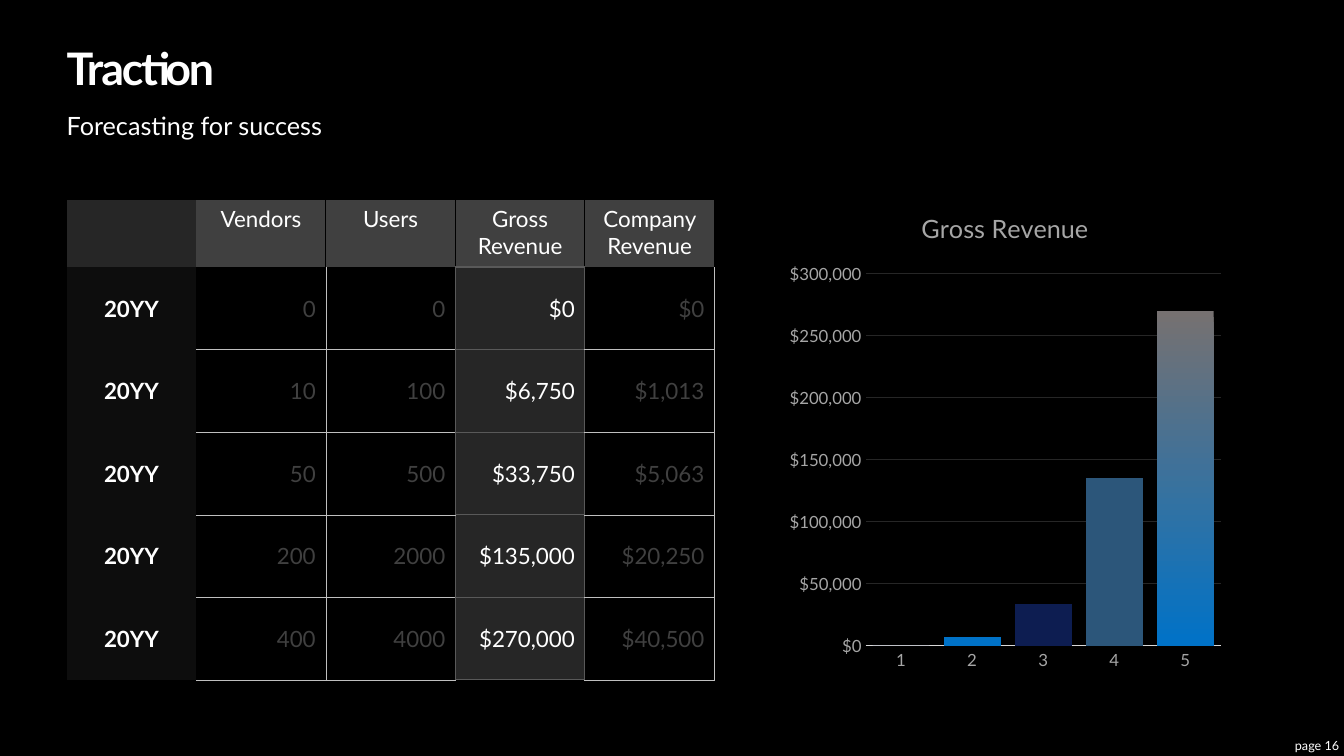
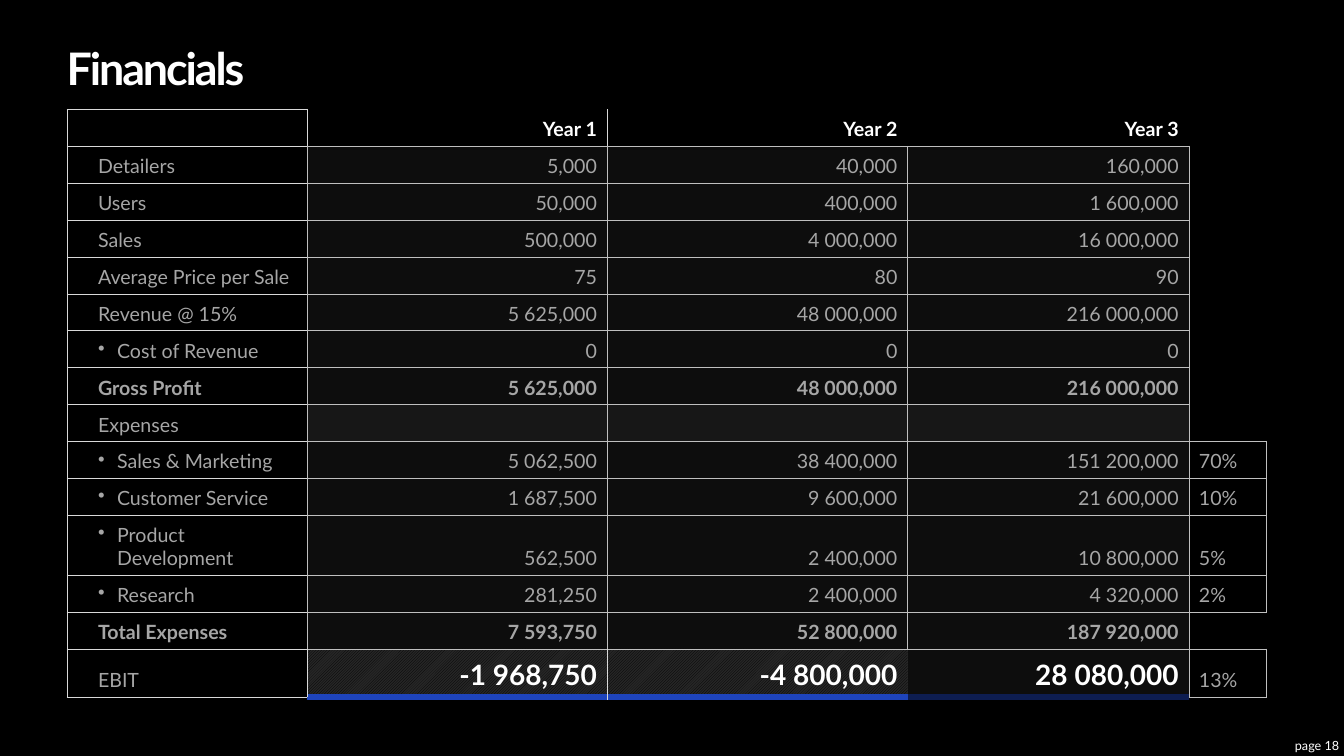
from dataclasses import dataclass
from lxml import etree
from pptx import Presentation
from pptx import util as u
from pptx.chart import data
from pptx.dml import color
from pptx.enum import dml, text
from pptx.oxml import ns


@dataclass(frozen=True)
class Theme:
    font: str = "Lato"
    black: str = "000000"
    white: str = "FFFFFF"
    coal: str = "0D0D0D"
    ash: str = "171717"
    dark: str = "262626"
    slate: str = "404040"
    mid: str = "595959"
    soft: str = "A6A6A6"
    rule: str = "BFBFBF"
    pale: str = "D9D9D9"
    navy: str = "0D1D51"
    royal: str = "1E44BC"
    blue: str = "0072C7"
    steel: str = "2C567A"
    stone: str = "767171"
    title: int = 32
    lead: int = 18
    large: int = 20
    cell: int = 16
    dense: int = 14
    axis: int = 12
    foot: int = 9


T = Theme()
LEFT, RIGHT, MID = text.PP_ALIGN.LEFT, text.PP_ALIGN.RIGHT, text.PP_ALIGN.CENTER
ANCHOR = text.MSO_ANCHOR
HAIR, GRAY = (T.rule, 0.25), (T.mid, 1)
PALE, DARK = (T.pale, 0.25), (T.black, 1)


# Shared helpers
def rgb(tone):
    return color.RGBColor.from_string(tone)


def paint(fill, tone):
    fill.solid()
    fill.fore_color.rgb = rgb(tone)


def ink(font, size, tone, bold=False):
    font.name, font.size, font.bold = T.font, u.Pt(size), bold
    font.color.rgb = rgb(tone)


def label(slide, box, words, size, bold=False, align=LEFT, anchor=ANCHOR.MIDDLE):
    frame = slide.shapes.add_textbox(*map(u.Cm, box)).text_frame
    frame.word_wrap = True
    frame.margin_left = frame.margin_right = frame.margin_top = frame.margin_bottom = 0
    frame.vertical_anchor = anchor
    par = frame.paragraphs[0]
    par.text, par.alignment = words, align
    ink(par.font, size, T.white, bold)
    return par


def page(deck, title, number):
    slide = deck.slides.add_slide(deck.slide_layouts[6])
    paint(slide.background.fill, T.black)
    head = label(slide, (1.68, 1.19, 27.71, 1.19), title, T.title, True)
    head.line_spacing = 0.9
    head.runs[0].font._rPr.set("spc", "-150")
    label(slide, (32.23, 18.57, 1.52, 0.43), f"page {number}", T.foot, align=RIGHT)
    return slide


def grid(slide, left, top, cols, rows):
    frame = slide.shapes.add_table(len(rows), len(cols), u.Cm(left), u.Cm(top),
                                   u.Cm(sum(cols)), u.Cm(sum(rows)))
    table = frame.table
    table.first_row = table.horz_banding = False
    plain = "{2D5ABB26-0587-4C30-8999-92F81FD0307C}"
    table._tbl.tblPr.find(ns.qn("a:tableStyleId")).text = plain
    for col, width in zip(table.columns, cols):
        col.width = u.Cm(width)
    for row, height in zip(table.rows, rows):
        row.height = u.Cm(height)
    return table


def edge(cell, sides):
    """Draw cell borders; sides maps L, R, T, B to (colour, points)."""
    props = cell._tc.get_or_add_tcPr()
    for side in "LRTB":
        if side in sides:
            tone, width = sides[side]
            line = etree.SubElement(props, ns.qn(f"a:ln{side}"), w=str(u.Pt(width)))
            fill = etree.SubElement(line, ns.qn("a:solidFill"))
            etree.SubElement(fill, ns.qn("a:srgbClr"), val=tone)


def write(cell, words, size, tone, bold, align, anchor, bullet=False):
    cell.vertical_anchor = anchor
    par = cell.text_frame.paragraphs[0]
    if words:
        par.text = words
    par.alignment = align
    if bullet:
        props = par._p.get_or_add_pPr()
        props.set("marL", str(u.Cm(0.48)))
        props.set("indent", str(u.Cm(-0.48)))
        etree.SubElement(props, ns.qn("a:buChar"), char="•")
    ink(par.font, size, tone, bold)


# Traction: forecast table
HEADS = ["", "Vendors", "Users", "Gross Revenue", "Company Revenue"]
YEARS = [
    ["20YY", "0", "0", "$0", "$0"],
    ["20YY", "10", "100", "$6,750", "$1,013"],
    ["20YY", "50", "500", "$33,750", "$5,063"],
    ["20YY", "200", "2000", "$135,000", "$20,250"],
    ["20YY", "400", "4000", "$270,000", "$40,500"],
]
GROSS = 3


def forecast(slide, left, top, width, height):
    head = 1.68
    step = (height - head) / len(YEARS)
    table = grid(slide, left, top, [width / len(HEADS)] * len(HEADS),
                 [head] + [step] * len(YEARS))
    flat = {"T": HAIR, "B": HAIR}
    lines = [{}, {**flat, "R": HAIR}, {**flat, "L": HAIR, "R": GRAY},
             dict.fromkeys("LRTB", GRAY), {**flat, "L": GRAY, "R": HAIR}]
    for c, words in enumerate(HEADS):
        cell = table.cell(0, c)
        sides = {"L": DARK} if c > 1 else {}
        if 0 < c < len(HEADS) - 1:
            sides["R"] = DARK
        if c == GROSS:
            sides["B"] = GRAY
        edge(cell, sides)
        paint(cell.fill, T.slate if c else T.dark)
        write(cell, words, T.cell, T.white, False, MID, ANCHOR.TOP)
    for r, year in enumerate(YEARS, 1):
        for c, words in enumerate(year):
            cell = table.cell(r, c)
            sides = dict(lines[c])
            if r == 1 and c != GROSS:
                sides.pop("T", None)
            edge(cell, sides)
            if c in (0, GROSS):
                paint(cell.fill, T.dark if c else T.coal)
            else:
                cell.fill.background()
            write(cell, words, T.cell, T.white if c in (0, GROSS) else T.slate,
                  c == 0, RIGHT if c else MID, ANCHOR.MIDDLE)


# Traction: revenue chart
def revenue(slide, *box):
    source = data.CategoryChartData()
    source.categories = ["1", "2", "3", "4", "5"]
    source.add_series("Series 1", (0, 7000, 34000, 135000, 270000))
    from_kind = slide.shapes.add_chart(51, *map(u.Cm, box), source)
    chart = from_kind.chart
    ink(chart.font, T.axis, T.soft)
    chart.has_legend = False
    chart.has_title = True
    par = chart.chart_title.text_frame.paragraphs[0]
    par.text = "Gross Revenue"
    ink(par.font, T.lead, T.soft)

    # Axes
    cats, vals = chart.category_axis, chart.value_axis
    for axis in (cats, vals):
        axis.major_tick_mark = axis.minor_tick_mark = -4142
        ink(axis.tick_labels.font, T.axis, T.soft)
    paint(cats.format.line.fill, T.pale)
    cats.format.line.width = u.Pt(0.75)
    vals.format.line.fill.background()
    vals.minimum_scale, vals.maximum_scale, vals.major_unit = 0, 300000, 50000
    vals.tick_labels.number_format = "[$$-409]#,##0"
    vals.tick_labels.number_format_is_linked = False
    rules = vals.major_gridlines.format.line
    paint(rules.fill, T.dark)
    rules.width = u.Pt(0.75)

    # Columns
    plot = chart.plots[0]
    plot.gap_width, plot.vary_by_categories = 25, False
    bars = plot.series[0]
    paint(bars.format.fill, T.navy)
    for spot, tone in ((1, T.blue), (3, T.steel)):
        paint(bars.points[spot].format.fill, tone)
    fade = bars.points[4].format.fill
    fade.gradient()
    fade.gradient_angle = 270
    for stop, tone in zip(fade.gradient_stops, (T.stone, T.blue)):
        stop.color.rgb = rgb(tone)

    # Plot area within the frame
    area = chart._chartSpace.chart.plotArea
    for old in area.findall(ns.qn("c:layout")):
        area.remove(old)
    layout = etree.Element(ns.qn("c:layout"))
    area.insert(0, layout)
    manual = etree.SubElement(layout, ns.qn("c:manualLayout"))
    for tag, val in (("layoutTarget", "inner"), ("xMode", "edge"), ("yMode", "edge"),
                     ("x", "0.19"), ("y", "0.17"), ("w", "0.79"), ("h", "0.76")):
        etree.SubElement(manual, ns.qn(f"c:{tag}"), val=val)


def traction(deck):
    slide = page(deck, "Traction", 16)
    label(slide, (1.68, 2.79, 27.71, 0.71), "Forecasting for success", T.lead,
          anchor=ANCHOR.TOP)
    forecast(slide, 1.68, 5.05, 16.33, 12.08)
    revenue(slide, 19.66, 4.8, 11.33, 12.34)


# Financials: a leading bullet marks an indented row
LEDGER = [
    ["", "Year 1", "Year 2", "Year 3", ""],
    ["Detailers", "5,000", "40,000", "160,000", ""],
    ["Users", "50,000", "400,000", "1 600,000", ""],
    ["Sales", "500,000", "4 000,000", "16 000,000", ""],
    ["Average Price per Sale", "75", "80", "90", ""],
    ["Revenue @ 15%", "5 625,000", "48 000,000", "216 000,000", ""],
    ["•Cost of Revenue", "0", "0", "0", ""],
    ["Gross Profit", "5 625,000", "48 000,000", "216 000,000", ""],
    ["Expenses", "", "", "", ""],
    ["•Sales & Marketing", "5 062,500", "38 400,000", "151 200,000", "70%"],
    ["•Customer Service", "1 687,500", "9 600,000", "21 600,000", "10%"],
    ["•Product Development", "562,500", "2 400,000", "10 800,000", "5%"],
    ["•Research", "281,250", "2 400,000", "4 320,000", "2%"],
    ["Total Expenses", "7 593,750", "52 800,000", "187 920,000", ""],
    ["EBIT", "-1 968,750", "-4 800,000", "28 080,000", "13%"],
]
SUMS = ("Gross Profit", "Total Expenses")
LAST = len(LEDGER) - 1


def borders(r, c, words):
    if c == 0:
        return {**dict.fromkeys("LTB", PALE), "R": HAIR if r else PALE}
    if c == 4:
        if words:
            return dict.fromkeys("LRTB", HAIR)
        return {"L": HAIR} if r else {}
    if r == 0:
        return {"B": HAIR, **({"L": PALE} if c == 1 else {})}
    if r == LAST:
        ends = {1: {"L": PALE}, 3: {"R": HAIR}}.get(c, {})
        return {"T": HAIR, "B": (T.navy if c == 3 else T.royal, 4.5), **ends}
    return dict.fromkeys("LRTB", HAIR)


def shade(fill, r, c, words):
    if c == 4:
        fill.background()
    elif r == LAST and c in (1, 2):
        fill.patterned()
        fill.pattern = dml.MSO_PATTERN.DARK_UPWARD_DIAGONAL
        fill.fore_color.rgb, fill.back_color.rgb = rgb(T.black), rgb(T.dark)
    elif r == 0 or c == 0:
        paint(fill, T.black)
    else:
        paint(fill, T.coal if words else T.ash)


def ledger(slide, left, top):
    rows = [0.93] * len(LEDGER)
    rows[11], rows[LAST] = 1.51, 1.21
    table = grid(slide, left, top, [6.05, 7.57, 7.57, 7.09, 1.96], rows)
    for r, row in enumerate(LEDGER):
        for c, words in enumerate(row):
            cell = table.cell(r, c)
            edge(cell, borders(r, c, words))
            shade(cell.fill, r, c, words)
            value = 0 < c < 4
            total = r == LAST and value
            strong = total or r == 0 or row[0] in SUMS
            if c == 0:
                cell.margin_left = u.Cm(0.79)
            write(cell, words.lstrip("•"), T.large if total else T.dense,
                  T.white if total or r == 0 else T.soft, strong,
                  RIGHT if value else LEFT, ANCHOR.BOTTOM, words.startswith("•"))


def finance(deck):
    ledger(page(deck, "Financials", 18), 1.68, 2.75)


deck = Presentation()
deck.slide_width, deck.slide_height = u.Cm(33.87), u.Cm(19.05)
traction(deck)
finance(deck)
deck.save("out.pptx")
